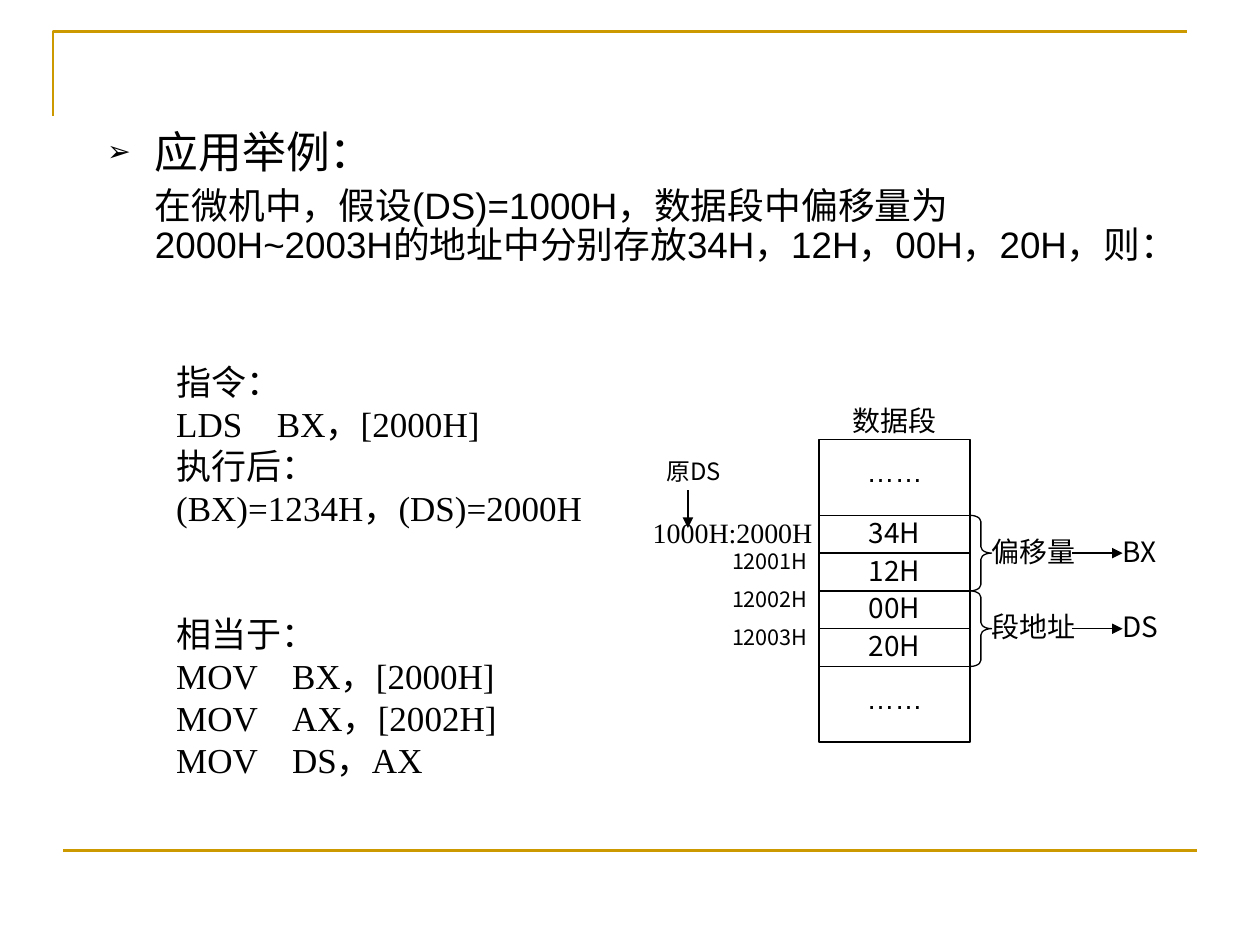
from lxml import etree
from pptx import Presentation
from pptx.dml.color import RGBColor
from pptx.enum.shapes import MSO_CONNECTOR, MSO_SHAPE
from pptx.enum.text import MSO_ANCHOR, MSO_AUTO_SIZE, PP_ALIGN
from pptx.oxml.ns import qn
from pptx.util import Inches, Pt

BLACK = RGBColor(0x00, 0x00, 0x00)
GOLD = RGBColor(0xCC, 0x99, 0x00)
SANS, CJK, SERIF = "Arial", "Noto Sans CJK SC", "Times New Roman"
STRAIGHT = MSO_CONNECTOR.STRAIGHT
RECTANGLE, RIGHT_BRACE = MSO_SHAPE.RECTANGLE, MSO_SHAPE.RIGHT_BRACE
TOP, NO_AUTOFIT = MSO_ANCHOR.TOP, MSO_AUTO_SIZE.NONE
LEFT, CENTER = PP_ALIGN.LEFT, PP_ALIGN.CENTER

ROW_H = 0.3


def add_element(parent, tag, **attributes):
    return etree.SubElement(parent, qn(tag), attributes)


def write(paragraph, text, size, font=CJK, align=LEFT, line_spacing=1.0, before=0):
    paragraph.alignment = align
    paragraph.line_spacing = line_spacing
    paragraph.space_before = Pt(before)
    run = paragraph.add_run()
    run.text = text
    run.font.size = Pt(size)
    run.font.name = font
    run.font.color.rgb = BLACK
    add_element(run.font._element, "a:ea", typeface=CJK)


def set_frame(frame, insets=(0, 0, 0, 0)):
    """Wrap text from the top, with insets as left, top, right, bottom."""
    frame.word_wrap = True
    frame.auto_size = NO_AUTOFIT
    frame.vertical_anchor = TOP
    (frame.margin_left, frame.margin_top,
     frame.margin_right, frame.margin_bottom) = map(Inches, insets)


def add_label(slide, box, text, size=16, insets=(0, 0, 0, 0), **style):
    label = slide.shapes.add_textbox(*map(Inches, box))
    set_frame(label.text_frame, insets)
    write(label.text_frame.paragraphs[0], text, size, **style)


def add_outline(slide, kind, box):
    outline = slide.shapes.add_shape(kind, *map(Inches, box))
    outline.shadow.inherit = False
    outline.fill.background()
    outline.line.color.rgb = BLACK
    outline.line.width = Pt(0.75)
    return outline


def add_line(slide, start, end, color=BLACK, width=0.75, arrow=False):
    line = slide.shapes.add_connector(STRAIGHT, *map(Inches, start + end))
    line.line.color.rgb = color
    line.line.width = Pt(width)
    if arrow:
        add_element(line.line._get_or_add_ln(), "a:tailEnd", type="triangle")
    add_element(line._element.spPr, "a:effectLst")


def add_page_frame(slide, left, top, width, height):
    builder = slide.shapes.build_freeform(Inches(left), Inches(top + 0.67))
    builder.add_line_segments(
        [(Inches(left), Inches(top)), (Inches(left + width), Inches(top))], close=False)
    corner = builder.convert_to_shape()
    corner.shadow.inherit = False
    corner.fill.background()
    corner.line.color.rgb = GOLD
    corner.line.width = Pt(1.5)
    bottom = top + height
    add_line(slide, (left + 0.08, bottom), (left + width + 0.08, bottom), GOLD, 1.5)


def fill_body(body, left, top, width, height):
    body.left, body.top = Inches(left), Inches(top)
    body.width, body.height = Inches(width), Inches(height)
    frame = body.text_frame
    set_frame(frame, (0.1, 0.05, 0.1, 0.05))

    heading = frame.paragraphs[0]
    properties = heading._p.get_or_add_pPr()
    properties.set("marL", str(Inches(0.38)))
    properties.set("indent", str(Inches(-0.38)))
    bullet_color = add_element(properties, "a:buClr")
    add_element(bullet_color, "a:srgbClr", val=str(BLACK))
    add_element(properties, "a:buSzPct", val="65000")
    add_element(properties, "a:buChar", char="➢")
    write(heading, "应用举例：", 25, font=SANS, line_spacing=0.9)

    premise = frame.add_paragraph()
    properties = premise._p.get_or_add_pPr()
    properties.set("marL", str(Inches(0.38)))
    properties.set("indent", "0")
    add_element(properties, "a:buNone")
    write(premise, "在微机中，假设(DS)=1000H，数据段中偏移量为2000H~2003H的地址中"
          "分别存放34H，12H，00H，20H，则：", 21, font=SANS, line_spacing=0.9, before=5.2)


def add_instructions(slide, left, top, width, height):
    # Each line: text, operand tab stop in inches, space before in points
    lines = [
        ("指令：", None, 0),
        ("LDS\tBX，[2000H]", 0.8, 0),
        ("执行后：", None, 0),
        ("(BX)=1234H，(DS)=2000H", None, 0),
        ("相当于：", None, 48),
        ("MOV\tBX，[2000H]", 0.92, 0),
        ("MOV\tAX，[2002H]", 0.92, 0),
        ("MOV\tDS，AX", 0.92, 0),
    ]
    listing = slide.shapes.add_textbox(*map(Inches, (left, top, width, height)))
    frame = listing.text_frame
    set_frame(frame, (0.1, 0.05, 0.1, 0.05))
    for number, (text, operand_stop, before) in enumerate(lines):
        paragraph = frame.add_paragraph() if number else frame.paragraphs[0]
        if operand_stop:
            tabs = add_element(paragraph._p.get_or_add_pPr(), "a:tabLst")
            add_element(tabs, "a:tab", pos=str(Inches(operand_stop)), algn="l")
        write(paragraph, text, 20, font=SERIF, before=before)


def add_data_segment(slide, left, top, width):
    """Draw the memory cells with addresses on the left and registers on the right."""
    add_label(slide, (left, top - 0.29, width, ROW_H), "数据段", font=SERIF, align=CENTER)
    cells = [("……", 2), ("34H", 1), ("12H", 1), ("00H", 1), ("20H", 1), ("……", 2)]
    cell_top = top
    for value, rows in cells:
        cell = add_outline(slide, RECTANGLE, (left, cell_top, width, rows * ROW_H))
        tall = rows > 1
        set_frame(cell.text_frame, (0.1, 0.12, 0.1, 0.05) if tall else (0, 0, 0, 0))
        write(cell.text_frame.paragraphs[0], value, 16,
              font=SANS if tall else CJK, align=CENTER)
        cell_top += rows * ROW_H

    data_top = top + 2 * ROW_H
    add_label(slide, (left - 1.38, data_top, 1.38, ROW_H), "1000H:2000H",
              insets=(0.06, 0, 0, 0), font=SERIF)
    for row, address in enumerate(("12001H", "12002H", "12003H"), start=1):
        add_label(slide, (left - 0.69, data_top + row * ROW_H, 0.69, ROW_H),
                  address, size=12.4, line_spacing=0.8)
    add_label(slide, (left - 1.21, top + 0.16, 0.52, ROW_H), "原DS",
              size=13.6, line_spacing=0.9)
    add_line(slide, (left - 1.04, top + 0.4), (left - 1.04, top + 0.7), arrow=True)

    right = left + width
    for pair, (part, register) in enumerate((("偏移量", "BX"), ("段地址", "DS"))):
        pair_top = data_top + pair * 2 * ROW_H
        middle = pair_top + ROW_H
        brace = add_outline(slide, RIGHT_BRACE, (right, pair_top, 0.17, 2 * ROW_H))
        brace.adjustments[0] = 0.29
        add_label(slide, (right + 0.17, middle - 0.15, 0.69, ROW_H), part, font=SERIF)
        add_line(slide, (right + 0.81, middle), (right + 1.21, middle), arrow=True)
        add_label(slide, (right + 1.21, middle - 0.15, 0.34, ROW_H), register)


def main():
    presentation = Presentation()
    presentation.slide_width, presentation.slide_height = Inches(10), Inches(7.5)
    slide = presentation.slides.add_slide(presentation.slide_layouts[1])
    title = slide.shapes.title._element
    title.getparent().remove(title)
    add_page_frame(slide, 0.42, 0.25, 9, 6.5)
    fill_body(slide.placeholders[1], 0.75, 0.99, 8.5, 1.58)
    add_data_segment(slide, 6.5, 3.49, 1.2)
    add_instructions(slide, 1.3, 2.81, 3.86, 3.44)
    presentation.save("out.pptx")


if __name__ == "__main__":
    main()
